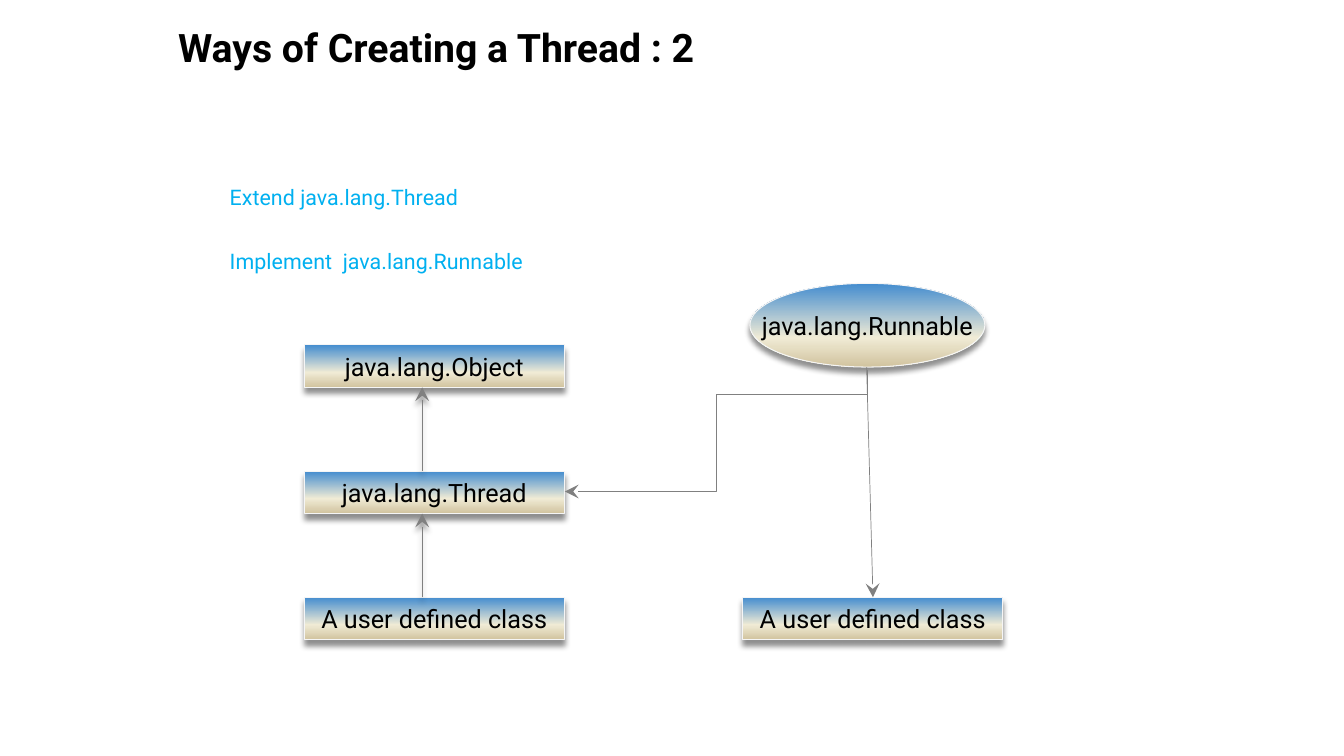
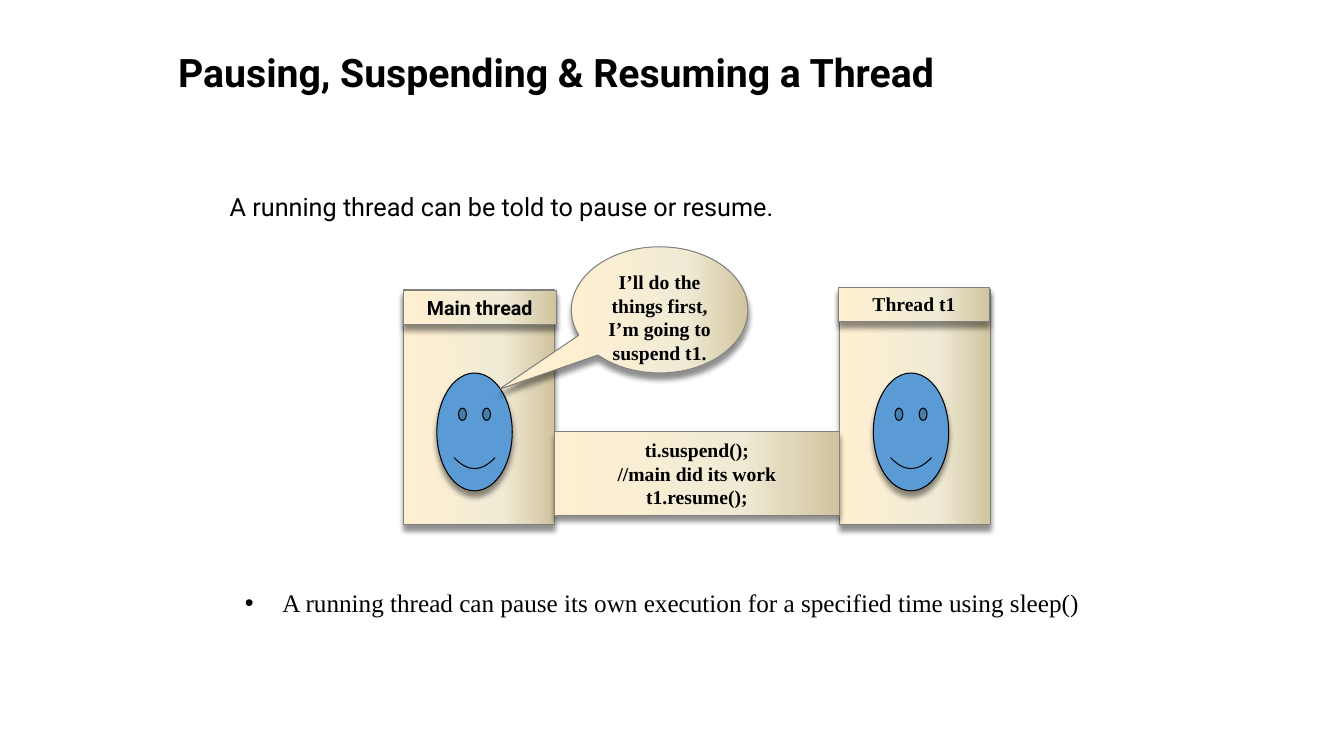
from dataclasses import dataclass

from lxml.etree import SubElement as Sub
from pptx import Presentation as Deck
from pptx.dml.color import RGBColor as Rgb
from pptx.enum.shapes import MSO_CONNECTOR_TYPE as Link, MSO_SHAPE as Kind
from pptx.enum.text import MSO_ANCHOR as Anchor, PP_ALIGN as Align
from pptx.oxml.ns import qn
from pptx.util import Cm, Pt


@dataclass(frozen=True)
class Theme:
    """Colours, fonts and type sizes of the deck."""

    ink: str = "000000"
    sky: str = "00B0F0"
    face: str = "5B9BD5"
    grey: str = "808080"
    pale: str = "F5F5F5"
    blue: tuple = ("438CCF", "F0EBD5", "D1C39F")
    sand: tuple = ("FFEFD1", "F0EBD5", "D1C39F")
    stops: tuple = (0, 65000, 100000)
    sans: str = "Roboto"
    serif: str = "Times New Roman"
    head: float = 28
    body: float = 18
    lead: float = 15.3
    small: float = 14


class Board:
    """Holds the theme and the slide being drawn."""

    def __init__(self, theme):
        """Start an empty wide deck."""
        self.theme = theme
        self.deck = Deck()
        self.deck.slide_width = Cm(33.87)
        self.deck.slide_height = Cm(19.05)

    def page(self, title, high):
        """Add a slide with its title."""
        self.slide = self.deck.slides.add_slide(self.deck.slide_layouts[6])
        self.text((4.24, 0, 24.13, high), [title], self.theme.head,
                  bold=True, anchor=Anchor.BOTTOM)

    def letter(self, frame, lines, size, font=None, tint=None, bold=False,
               align=Align.LEFT, anchor=Anchor.TOP, wrap=True):
        """Fill a text frame, one paragraph a line."""
        frame.word_wrap = wrap
        frame.vertical_anchor = anchor
        for at, line in enumerate(lines):
            para = frame.add_paragraph() if at else frame.paragraphs[0]
            para.alignment = align
            run = para.add_run()
            run.text = line
            run.font.size = Pt(size)
            run.font.name = font or self.theme.sans
            run.font.bold = bold
            run.font.color.rgb = Rgb.from_string(tint or self.theme.ink)
        return frame.paragraphs

    def text(self, place, lines, size, **style):
        """Add a text box."""
        box = self.slide.shapes.add_textbox(*map(Cm, place))
        return self.letter(box.text_frame, lines, size, **style)

    def body(self, place, lines, size, space, tint=None):
        """Add body text with open line spacing."""
        for para in self.text(place, lines, size, tint=tint):
            para.line_spacing = space
            para.space_before = Pt(10)
            para.space_after = Pt(12)

    def bullet(self, place, line):
        """Add one line with a bullet."""
        para = self.text(place, [line], self.theme.body, font=self.theme.serif)[0]
        para.space_before = Pt(4)
        props = para._p.get_or_add_pPr()
        props.set("marL", str(Cm(0.95)))
        props.set("indent", str(-Cm(0.95)))
        Sub(props, qn("a:buFont"), typeface="Arial")
        Sub(props, qn("a:buChar"), char="•")

    def shade(self, glow):
        """Put a soft shadow in an effect list."""
        cast = Sub(glow, qn("a:outerShdw"), blurRad=str(Pt(4)), dist=str(Pt(4)),
                   dir="5400000", algn="ctr", rotWithShape="0")
        tone = Sub(cast, qn("a:srgbClr"), val=self.theme.ink)
        Sub(tone, qn("a:alpha"), val="43000")

    def blend(self, fill, props, tints, angle):
        """Set a three-stop blend."""
        fill.gradient()
        fill.gradient_angle = angle
        stops = props.find(qn("a:gradFill")).find(qn("a:gsLst"))
        for old in list(stops):
            stops.remove(old)
        for spot, tint in zip(self.theme.stops, tints):
            stop = Sub(stops, qn("a:gs"), pos=str(spot))
            Sub(stop, qn("a:srgbClr"), val=tint)

    def shape(self, kind, place, fill, edge, angle=0):
        """Add a preset shape with fill, line and shadow."""
        form = self.slide.shapes.add_shape(kind, *map(Cm, place))
        props = form._element.spPr
        if isinstance(fill, tuple):
            self.blend(form.fill, props, fill, angle)
        else:
            form.fill.solid()
            form.fill.fore_color.rgb = Rgb.from_string(fill)
        form.line.color.rgb = Rgb.from_string(edge)
        form.line.width = Pt(0.75)
        form.shadow.inherit = False
        self.shade(props.find(qn("a:effectLst")))
        return form

    def node(self, place, name, kind=Kind.RECTANGLE):
        """Add a class node."""
        form = self.shape(kind, place, self.theme.blue, self.theme.pale, 270)
        self.letter(form.text_frame, [name], self.theme.body, align=Align.CENTER,
                    anchor=Anchor.MIDDLE, wrap=False)

    def panel(self, place, lines=(), kind=Kind.RECTANGLE, font=None, **style):
        """Add a sand panel with bold text."""
        form = self.shape(kind, place, self.theme.sand, self.theme.grey)
        self.letter(form.text_frame, lines, self.theme.small, bold=True,
                    font=font or self.theme.serif, align=Align.CENTER, **style)
        return form

    def arrow(self, start, end, kind=Link.STRAIGHT, shade=False):
        """Add a thin grey arrow."""
        line = self.slide.shapes.add_connector(kind, *map(Cm, start + end))
        line.line.color.rgb = Rgb.from_string(self.theme.grey)
        line.line.width = Pt(0.5)
        props = line._element.spPr
        Sub(props.find(qn("a:ln")), qn("a:tailEnd"), type="stealth", w="lg", len="lg")
        glow = Sub(props, qn("a:effectLst"))
        if shade:
            self.shade(glow)
        return props

    def elbow(self, start, end, bends):
        """Add an arrow of four legs, turned by a right angle."""
        props = self.arrow(start, end, Link.ELBOW)
        props.find(qn("a:xfrm")).set("rot", "5400000")
        geom = props.find(qn("a:prstGeom"))
        geom.set("prst", "bentConnector4")
        guides = geom.find(qn("a:avLst"))
        if guides is None:
            guides = Sub(geom, qn("a:avLst"))
        for at, bend in enumerate(bends, 1):
            Sub(guides, qn("a:gd"), name=f"adj{at}", fmla=f"val {bend}")


def ways(board):
    """Draw the slide on making a thread."""
    theme = board.theme
    board.page("Ways of Creating a Thread : 2", 1.9)
    board.body((5.54, 4.32, 23.01, 2.62),
               ["Extend java.lang.Thread", "Implement  java.lang.Runnable"],
               theme.lead, 1.3, theme.sky)
    left, top, step, wide, high = 7.67, 8.69, 3.18, 6.55, 1.07
    names = ["java.lang.Object", "java.lang.Thread", "A user defined class"]
    for row, name in enumerate(names):
        board.node((left, top + row * step, wide, high), name)
    for row in (1, 2):
        low = top + row * step
        board.arrow((10.64, low), (10.64, low - step + high), shade=True)
    board.node((18.9, 7.14, 5.92, 2.11), "java.lang.Runnable", Kind.OVAL)
    last = top + 2 * step
    board.node((18.72, last, wide, high), names[-1])
    board.elbow((16.51, 7.04), (19.58, 14.66), (20700, 50000))
    board.arrow((21.84, 9.25), (22, last))


def pause(board):
    """Draw the slide on pausing a thread."""
    theme = board.theme
    board.page("Pausing, Suspending & Resuming a Thread", 2.54)
    board.body((5.54, 4.32, 23.01, 1.42),
               ["A running thread can be told to pause or resume."], theme.body, 1.5)
    threads = [
        (10.16, (10.16, 7.32, 3.86, 0.86), "Main thread", theme.sans),
        (21.16, (21.13, 7.24, 3.81, 0.86), "Thread t1", theme.serif),
    ]
    for left, label, name, font in threads:
        board.panel((left, 7.29, 3.81, 5.93))
        board.shape(Kind.SMILEY_FACE, (left + 0.85, 9.4, 1.9, 2.97),
                    theme.face, theme.ink)
        board.panel(label, [name], font=font)
    speech = board.panel((14.4, 6.22, 4.45, 3.18),
                         ["I’ll do the things first, I’m going to suspend t1."],
                         Kind.OVAL_CALLOUT)
    speech.adjustments[0] = -0.91
    speech.adjustments[1] = 0.63
    board.panel((13.97, 10.87, 7.19, 2.11),
                ["ti.suspend();", "//main did its work", "t1.resume();"],
                anchor=Anchor.MIDDLE, wrap=False)
    board.bullet((5.92, 14.68, 22.86, 1.47),
                 "A running thread can pause its own execution for a specified "
                 "time using sleep()")


def main():
    """Build and save the deck."""
    board = Board(Theme())
    ways(board)
    pause(board)
    board.deck.save("out.pptx")


if __name__ == "__main__":
    main()
